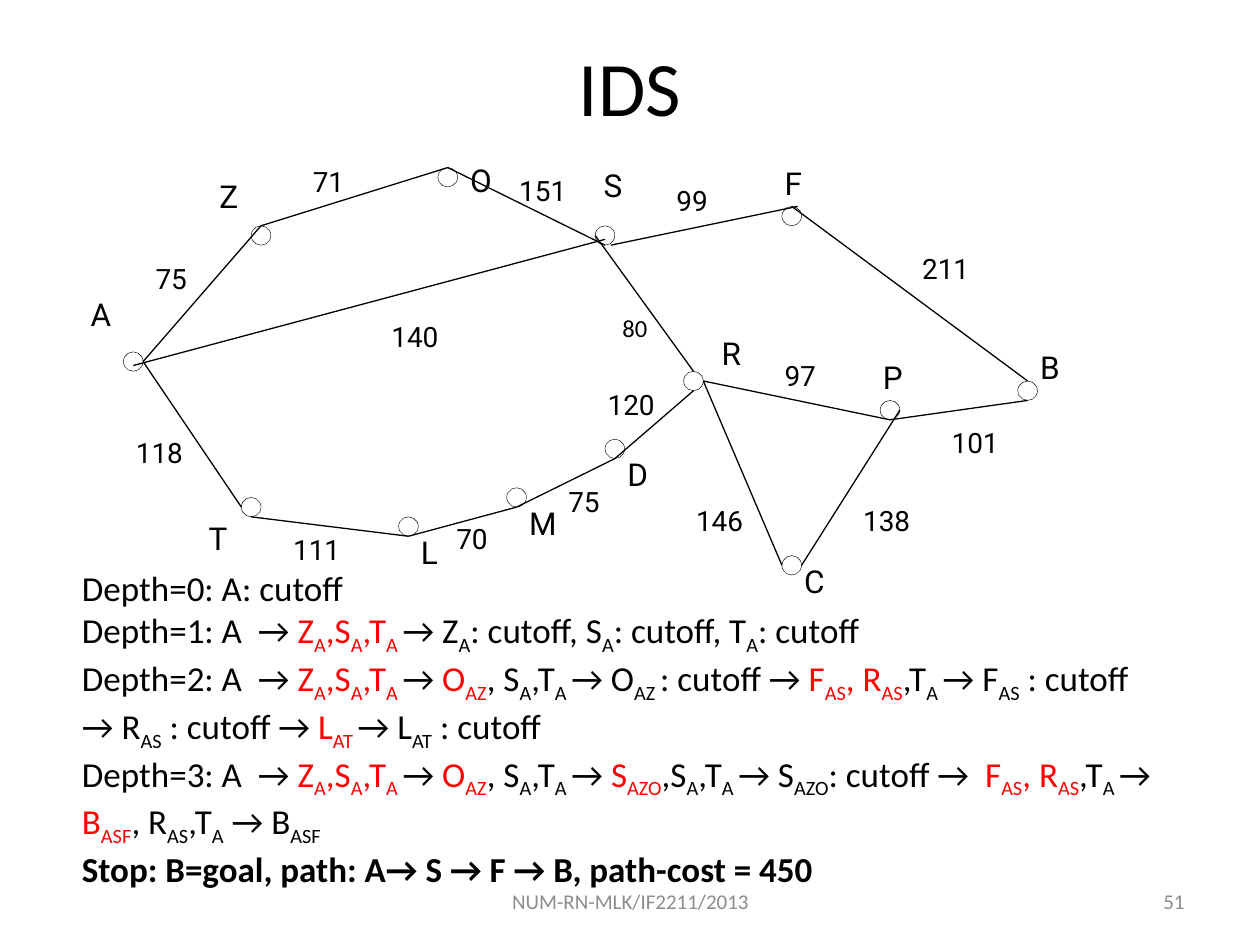
from dataclasses import dataclass

from lxml import etree
from pptx import Presentation
from pptx.dml.color import RGBColor
from pptx.enum.shapes import MSO_CONNECTOR, MSO_SHAPE
from pptx.enum.text import MSO_ANCHOR, MSO_AUTO_SIZE, PP_ALIGN
from pptx.oxml.ns import qn
from pptx.util import Inches, Pt

LEFT, CENTER, RIGHT = PP_ALIGN.LEFT, PP_ALIGN.CENTER, PP_ALIGN.RIGHT
TOP, MIDDLE = MSO_ANCHOR.TOP, MSO_ANCHOR.MIDDLE
GROW, FIXED = MSO_AUTO_SIZE.SHAPE_TO_FIT_TEXT, MSO_AUTO_SIZE.NONE
OVAL, STRAIGHT = MSO_SHAPE.OVAL, MSO_CONNECTOR.STRAIGHT

W, H = 10, 7.5
X0, Y0 = 0.98, 1.33
COL, ROW = 0.078, 0.077
BLACK, RED, GRAY = "000000", "FF0000", "8C8C8C"


@dataclass
class Node:
    name: str
    col: float
    row: float
    label_col: float
    label_row: float


@dataclass
class Edge:
    start: tuple[float, float]
    end: tuple[float, float]
    cost: str
    cost_col: float
    cost_row: float


NODES = [
    Node("A", 0, 19, -4.6, 12.5),
    Node("Z", 13, 6, 8.5, 0.3),
    Node("O", 32, 0, 34, -1.3),
    Node("S", 48, 6, 47.6, -0.8),
    Node("F", 67, 4, 66, -1),
    Node("B", 91, 22, 92, 18),
    Node("R", 57, 21, 59.6, 16.5),
    Node("P", 77, 24, 76, 19),
    Node("C", 67, 40, 68, 40),
    Node("D", 49, 28, 50, 29),
    Node("M", 39, 33, 40, 34),
    Node("L", 28, 36, 29, 37),
    Node("T", 12, 34, 7.4, 35.6),
]
EDGES = [
    Edge((2, 20), (14, 6), "75", 2, 9),
    Edge((14, 6), (33, 0), "71", 18, -1),
    Edge((33, 0), (49, 8), "151", 39, 0),
    Edge((1, 20.4), (49, 7.4), "140", 26, 15),
    Edge((49.6, 8), (68.6, 4), "99", 55, 1),
    Edge((68, 4), (92, 22), "211", 80, 8),
    Edge((58, 21), (48, 7), "80", 49.5, 14.4),
    Edge((59, 22), (78, 26), "97", 66, 19),
    Edge((78, 26), (92, 24), "101", 83, 26),
    Edge((69, 41), (79, 25), "138", 74, 34),
    Edge((67, 41), (59, 22), "146", 57, 34),
    Edge((50, 30), (58, 23), "120", 48, 22),
    Edge((40, 35), (50, 30), "75", 44, 32),
    Edge((29, 38), (40, 35), "70", 32.6, 35.8),
    Edge((13, 36), (29, 38), "111", 16, 37),
    Edge((12, 35), (2, 20), "118", 0, 27),
]

# "~" switches red on and off, "_" switches subscript on and off
FIRST = "A  → ~Z_A_,S_A_,T_A _~→ "
SECOND = FIRST + "~O_AZ_~, S_A_,T_A _→ "
THIRD = "~F_AS_, R_AS_~,T_A _→ "
STEPS = [
    "Depth=0: A: cutoff",
    f"Depth=1: {FIRST}Z_A_: cutoff, S_A_: cutoff, T_A_: cutoff",
    f"Depth=2: {SECOND}O_AZ _: cutoff → {THIRD}F_AS_ : cutoff → R_AS_ : cutoff → "
    "~L_AT _~→ L_AT_ : cutoff",
    f"Depth=3: {SECOND}~S_AZO_~,S_A_,T_A _→ S_AZO_: cutoff →  {THIRD}"
    "~B_ASF_~, R_AS_,T_A_ → B_ASF_",
]
GOAL = "Stop: B=goal, path: A→ S → F → B, path-cost = 450"


def apply(target, values: dict) -> None:
    for name, value in values.items():
        setattr(target, name, value)


def rgb(color: str) -> RGBColor:
    return RGBColor.from_string(color)


def grid(col: float, row: float) -> tuple[int, int]:
    return Inches(X0 + col * COL), Inches(Y0 + row * ROW)


def share(x: float, y: float, w: float, h: float) -> tuple[int, ...]:
    return Inches(x * W), Inches(y * H), Inches(w * W), Inches(h * H)


def add_run(p, text: str, size: float, font="Calibri", color=BLACK, bold=False):
    r = p.add_run()
    r.text = text
    apply(r.font, {"name": font, "size": Pt(size), "bold": bold})
    r.font.color.rgb = rgb(color)
    return r


def add_marked(p, text: str, size: float) -> None:
    for i, tone in enumerate(text.split("~")):
        for piece, sub in split_sub(tone):
            r = add_run(p, piece, size, color=RED if i % 2 else BLACK)
            if sub:
                r._r.get_or_add_rPr().set("baseline", "-25000")


def split_sub(text: str) -> list[tuple[str, bool]]:
    return [(piece, i % 2 == 1) for i, piece in enumerate(text.split("_")) if piece]


def add_text(s, box, text: str, size: float, font="Calibri", color=BLACK,
             align=LEFT, anchor=TOP, auto=GROW, wrap=True) -> None:
    tf = s.shapes.add_textbox(*box).text_frame
    apply(tf, {"word_wrap": wrap, "auto_size": auto, "vertical_anchor": anchor})
    p = tf.paragraphs[0]
    p.alignment = align
    add_run(p, text, size, font, color)


def add_node(s, node: Node) -> None:
    sp = s.shapes.add_shape(OVAL, *grid(node.col, node.row), Inches(2 * COL), Inches(2 * ROW))
    sp.shadow.inherit = False
    sp.fill.background()
    sp.line.color.rgb = rgb(BLACK)
    sp.line.width = Pt(0.25)
    box = (*grid(node.label_col, node.label_row), Inches(6 * COL), Inches(0.4))
    add_text(s, box, node.name, 18, "Roboto")


def add_edge(s, edge: Edge) -> None:
    line = s.shapes.add_connector(STRAIGHT, *grid(*edge.start), *grid(*edge.end))
    line.line.color.rgb = rgb(BLACK)
    line.line.width = Pt(0.75)
    etree.SubElement(line._element.spPr, qn("a:effectLst"))
    start = grid(edge.cost_col, edge.cost_row)
    if edge.cost == "80":
        add_text(s, (*start, Inches(0.42), Inches(0.33)), edge.cost, 14, wrap=False)
    else:
        add_text(s, (*start, Inches(8 * COL), Inches(0.37)), edge.cost, 16, "Roboto")


def place(sp, box: tuple[int, ...]) -> None:
    apply(sp, dict(zip(("left", "top", "width", "height"), box)))


def fill_title(sp) -> None:
    place(sp, share(0.05, 0.023, 0.9, 0.135))
    p = sp.text_frame.paragraphs[0]
    p.alignment = CENTER
    add_run(p, "IDS", 44)


def fill_steps(sp) -> None:
    place(sp, share(0.055, 0.593, 0.877, 0.328))
    tf = sp.text_frame
    apply(tf, {"word_wrap": True, "auto_size": GROW, "vertical_anchor": TOP})
    for i, text in enumerate([*STEPS, GOAL]):
        p = tf.add_paragraph() if i else tf.paragraphs[0]
        pPr = p._p.get_or_add_pPr()
        apply_xml = {"marL": "0", "indent": "0"}
        for name, value in apply_xml.items():
            pPr.set(name, value)
        etree.SubElement(pPr, qn("a:buNone"))
        apply(p, {"alignment": LEFT, "space_before": Pt(0), "space_after": Pt(0)})
        if text == GOAL:
            add_run(p, text, 20, bold=True)
        else:
            add_marked(p, text, 20)


def main() -> None:
    prs = Presentation()
    apply(prs, {"slide_width": Inches(W), "slide_height": Inches(H)})
    s = prs.slides.add_slide(prs.slide_layouts[1])
    fill_title(s.shapes.title)
    fill_steps(s.placeholders[1])
    for node in NODES:
        add_node(s, node)
    for edge in EDGES:
        add_edge(s, edge)
    footer = {"color": GRAY, "anchor": MIDDLE, "auto": FIXED}
    add_text(s, share(0.342, 0.927, 0.317, 0.053), "NUM-RN-MLK/IF2211/2013", 12,
             align=CENTER, **footer)
    add_text(s, share(0.717, 0.927, 0.233, 0.053), "51", 12, align=RIGHT, **footer)
    prs.save("out.pptx")


if __name__ == "__main__":
    main()
